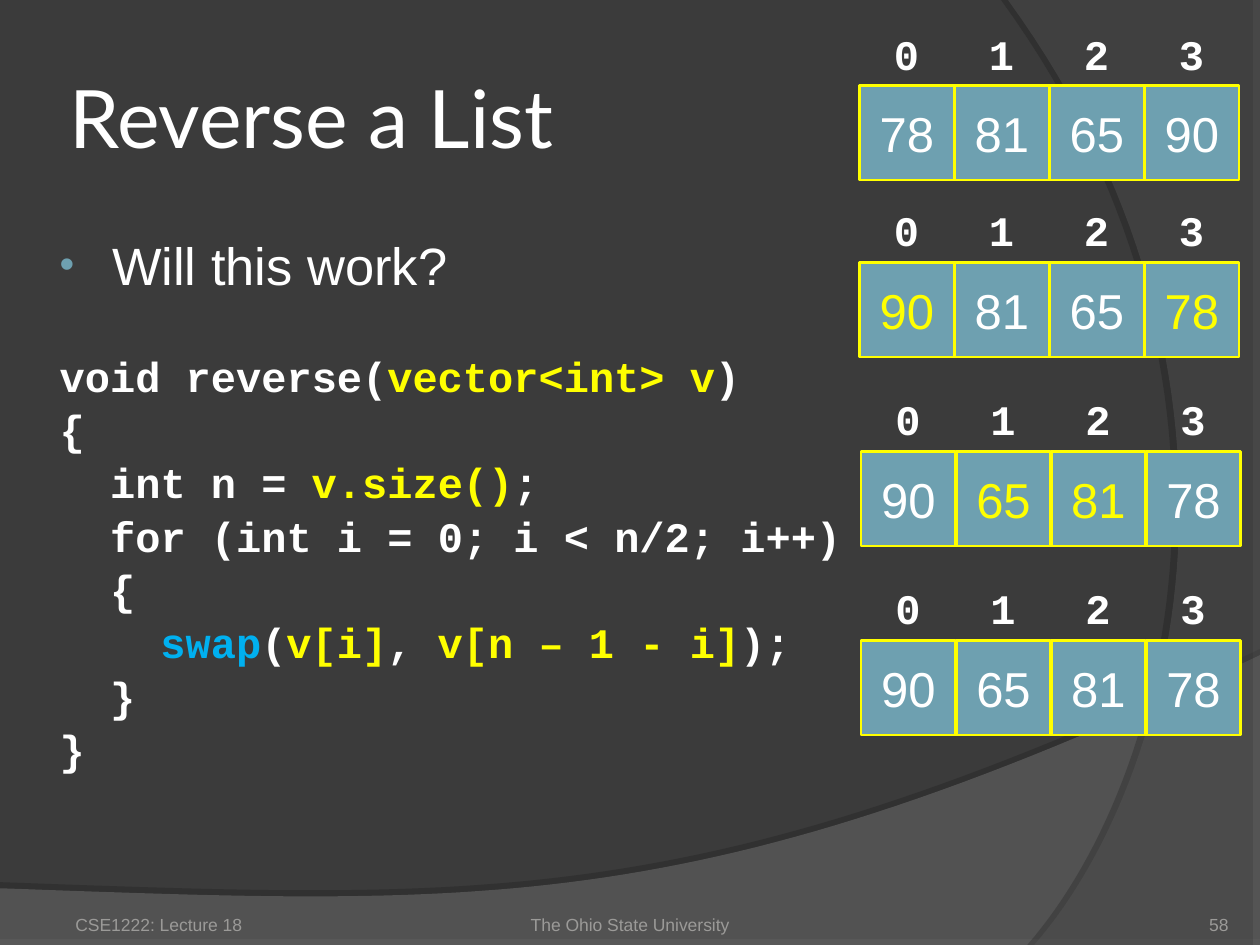
"""Slide on reversing a list in place, with the array shown after each swap."""
from lxml.etree import SubElement
from pptx import Presentation
from pptx.dml.color import RGBColor as RGB
from pptx.enum.shapes import MSO_SHAPE as SHAPE
from pptx.enum.text import MSO_ANCHOR as ANCHOR, PP_ALIGN as ALIGN
from pptx.oxml.ns import qn
from pptx.util import Pt

BACKDROP = RGB(0x3B, 0x3B, 0x3B)
SWEEP_GREY = RGB(0x7C, 0x7C, 0x7C)
ARC_GREY = RGB(0x59, 0x59, 0x59)
WHITE = RGB(0xFF, 0xFF, 0xFF)
YELLOW = RGB(0xFF, 0xFF, 0x00)
BLUE = RGB(0x00, 0xB0, 0xF0)
TEAL = RGB(0x6E, 0xA0, 0xB0)
FOOTER_GREY = RGB(0x9B, 0x9A, 0x98)


def style(paragraph, name, size, color, bold=False):
    font = paragraph.font
    font.name, font.size, font.bold = name, Pt(size), bold
    font.color.rgb = color


def set_insets(frame, left, top, right, bottom):
    frame.margin_left, frame.margin_top = Pt(left), Pt(top)
    frame.margin_right, frame.margin_bottom = Pt(right), Pt(bottom)


prs = Presentation()
prs.slide_width, prs.slide_height = Pt(720), Pt(540)
slide = prs.slides.add_slide(prs.slide_layouts[5])
slide.background.fill.solid()
slide.background.fill.fore_color.rgb = BACKDROP

SWEEPS = [
    ([(0, 540), (720, 540)], [(720, 374.4), (402.5, 525), (281.5, 517.7), (0, 507.6)],
     SWEEP_GREY, 45, 35, 3.5, 270),
    ([(720, 0), (720, 540)], [(591, 540), (673, 446), (733, 216), (576, 0)],
     ARC_GREY, 40, 45, 4, 180),
]
STEPS = 60
for corners, (p0, p1, p2, p3), grey, opacity, shade, distance, angle in SWEEPS:
    outline = list(corners)
    for step in range(STEPS + 1):
        t = step / STEPS
        u = 1 - t
        outline.append(tuple(
            u**3 * a + 3 * u * u * t * b + 3 * u * t * t * c + t**3 * d
            for a, b, c, d in zip(p0, p1, p2, p3)))
    points = [(Pt(x), Pt(y)) for x, y in outline]
    builder = slide.shapes.build_freeform(*points[0])
    builder.add_line_segments(points[1:], close=True)
    sweep = builder.convert_to_shape()
    sweep.fill.solid()
    sweep.fill.fore_color.rgb = grey
    sweep.line.fill.background()
    sweep.shadow.inherit = False
    props = sweep._element.spPr
    fill_color = props.find(qn("a:solidFill")).find(qn("a:srgbClr"))
    SubElement(fill_color, qn("a:alpha"), val=str(opacity * 1000))
    shadow = SubElement(props.find(qn("a:effectLst")), qn("a:outerShdw"), blurRad="0",
                        dist=str(Pt(distance)), dir=str(angle * 60000),
                        algn="ctr", rotWithShape="0")
    shadow_color = SubElement(shadow, qn("a:srgbClr"), val="000000")
    SubElement(shadow_color, qn("a:alpha"), val=str(shade * 1000))

title = slide.shapes.title
title.left, title.top, title.width, title.height = Pt(36), Pt(21.6), Pt(588), Pt(90)
title.text_frame.text = "Reverse a List"
title.text_frame.vertical_anchor = ANCHOR.MIDDLE
set_insets(title.text_frame, 3.6, 3.6, 3.6, 3.6)
title.text_frame.paragraphs[0].alignment = ALIGN.LEFT
style(title.text_frame.paragraphs[0], "Lato", 46, WHITE)

CODE = [
    [("void reverse(", WHITE), ("vector<int> v", YELLOW), (")", WHITE)],
    [("{", WHITE)],
    [("  int n = ", WHITE), ("v.size()", YELLOW), (";", WHITE)],
    [("  for (int i = 0; i < n/2; i++)", WHITE)],
    [("  {", WHITE)],
    [("    ", WHITE), ("swap", BLUE), ("(", WHITE), ("v[i]", YELLOW), (", ", WHITE),
     ("v[n – 1 - i]", YELLOW), (");", WHITE)],
    [("  }", WHITE)],
    [("}", WHITE)],
]
body = slide.shapes.add_textbox(Pt(24), Pt(129.5), Pt(588), Pt(353)).text_frame
body.word_wrap = True
question = body.paragraphs[0]
question.text = "Will this work?"
question_props = question._p.get_or_add_pPr()
question_props.set("marL", str(Pt(33)))
question_props.set("indent", str(Pt(-30)))
bullet_color = SubElement(question_props, qn("a:buClr"))
SubElement(bullet_color, qn("a:srgbClr"), val=str(TEAL))
SubElement(question_props, qn("a:buSzPct"), val="80000")
SubElement(question_props, qn("a:buFont"), typeface="Arial")
SubElement(question_props, qn("a:buChar"), char="•")
style(question, "Arial", 30, WHITE)

for number, pieces in enumerate(CODE):
    line = body.add_paragraph()
    line_props = line._p.get_or_add_pPr()
    line_props.set("marL", str(Pt(33)))
    line_props.set("indent", str(Pt(-30)))
    line.line_spacing = 0.85
    line.space_before = Pt(6 if number else 35.4)
    style(line, "Courier New", 24, WHITE, bold=True)
    for text, color in pieces:
        run = line.add_run()
        run.text = text
        if color != WHITE:
            run.font.color.rgb = color

FOOTERS = [
    ("CSE1222: Lecture 18", 36, 168, 7.2, ALIGN.LEFT),
    ("The Ohio State University", 246, 228, 0, ALIGN.CENTER),
    ("58", 642, 60, 0, ALIGN.RIGHT),
]
for text, left, width, inset, align in FOOTERS:
    footer = slide.shapes.add_textbox(Pt(left), Pt(505.5), Pt(width), Pt(28.8)).text_frame
    footer.word_wrap = True
    footer.vertical_anchor = ANCHOR.BOTTOM
    set_insets(footer, inset, 3.6, inset, 0)
    footer.text = text
    footer.paragraphs[0].alignment = align
    style(footer.paragraphs[0], "Arial", 10, FOOTER_GREY)

CELL, PITCH = 54, 54.3
ARRAYS = [
    (491.2, 48.9, (78, 81, 65, 90), ()),
    (491.2, 150, (90, 81, 65, 78), (0, 3)),
    (492.1, 258, (90, 65, 81, 78), (1, 2)),
    (492.1, 366, (90, 65, 81, 78), ()),
]
for left, top, values, swapped in ARRAYS:
    array = slide.shapes.add_group_shape()
    for index, value in enumerate(values):
        x = left + index * PITCH
        cell = array.shapes.add_shape(SHAPE.RECTANGLE, Pt(x), Pt(top), Pt(CELL), Pt(CELL))
        cell.shadow.inherit = False
        cell.fill.solid()
        cell.fill.fore_color.rgb = TEAL
        cell.line.color.rgb = YELLOW
        cell.line.width = Pt(1.5)
        cell.text_frame.text = str(value)
        cell.text_frame.vertical_anchor = ANCHOR.MIDDLE
        cell.text_frame.paragraphs[0].alignment = ALIGN.CENTER
        style(cell.text_frame.paragraphs[0], "Arial", 28, YELLOW if index in swapped else WHITE)

        label = array.shapes.add_textbox(Pt(x + 12.5), Pt(top - 36.4), Pt(28.8), Pt(36)).text_frame
        label.word_wrap = False
        label.text = str(index)
        style(label.paragraphs[0], "Courier New", 24, WHITE, bold=True)

prs.save("out.pptx")
